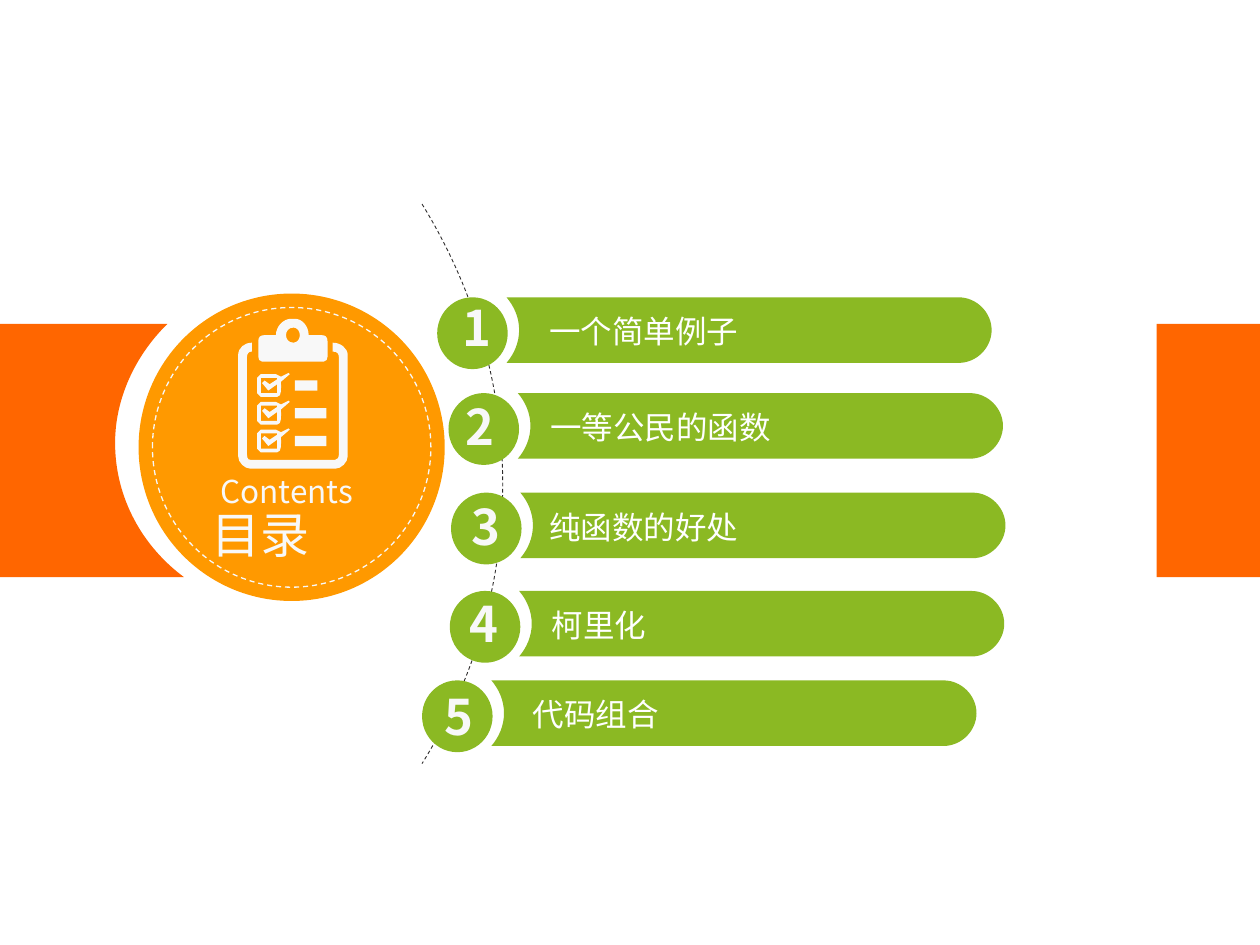
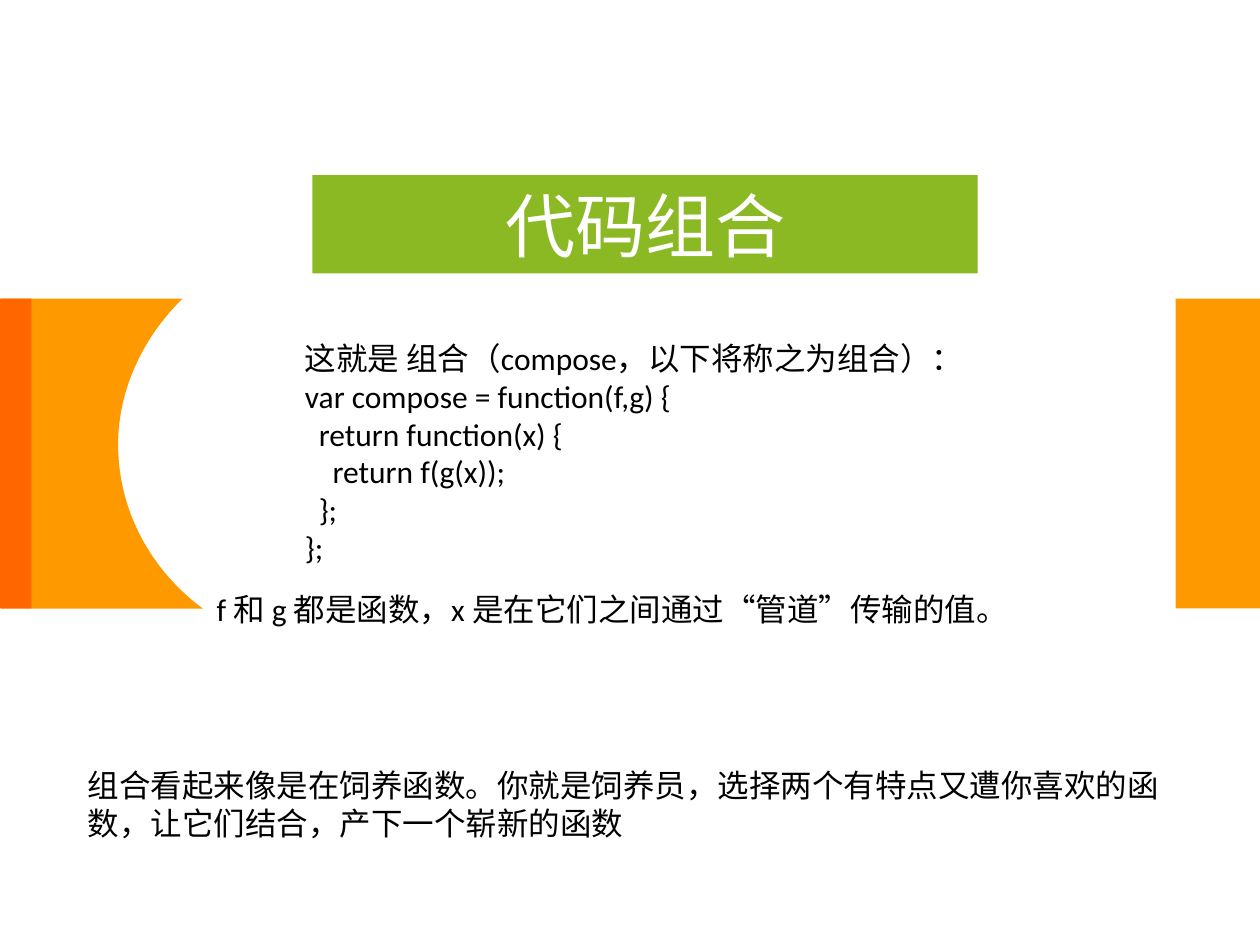
from pptx import Presentation
from pptx.dml.color import RGBColor
from pptx.enum.dml import MSO_LINE
from pptx.enum.shapes import MSO_SHAPE
from pptx.enum.text import MSO_ANCHOR, MSO_AUTO_SIZE, PP_ALIGN
from pptx.oxml.ns import qn
from pptx.util import Inches, Pt
from lxml.etree import SubElement

GREEN = RGBColor(0x8B, 0xB9, 0x23)
ORANGE = RGBColor(0xFF, 0x66, 0x00)
AMBER = RGBColor(0xFF, 0x99, 0x00)
PALE = RGBColor(0xF8, 0xF8, 0xF8)
WHITE = RGBColor(0xFF, 0xFF, 0xFF)
BLACK = RGBColor(0, 0, 0)
DARK = RGBColor(0x2E, 0x2C, 0x2C)
CJK, LATIN = "Noto Sans CJK SC", "Calibri"
SLIDE_W, SLIDE_H = 10, 7.5

# label, bar left, bar top, label left, number position
CONTENTS = [
    ("一个简单例子", 4.02, 2.36, 4.26, (3.57, 2.31)),
    ("一等公民的函数", 4.11, 3.12, 4.27, (3.6, 3.1)),
    ("纯函数的好处", 4.13, 3.91, 4.26, (3.64, 3.89)),
    ("柯里化", 4.12, 4.69, 4.28, (3.63, 4.66)),
    ("代码组合", 3.9, 5.4, 4.13, (3.43, 5.4)),
]
# indent level, line
CODE = [
    (0, "这就是 组合（compose，以下将称之为组合）："),
    (0, "var compose = function(f,g) {"),
    (1, "return function(x) {"),
    (2, "return f(g(x));"),
    (1, "};"),
    (0, "};"),
]
NOTES = [
    ("f 和 g 都是函数，x 是在它们之间通过“管道”传输的值。", (1.62, 4.63, 7.71, 0.4)),
    ("组合看起来像是在饲养函数。你就是饲养员，选择两个有特点又遭你喜欢的函数，"
     "让它们结合，产下一个崭新的函数", (0.6, 6.03, 8.9, 0.71)),
]

# Outlines: a pair is a corner, six numbers are a Bezier curve.
NOTCHED_BAND = [(0, 0), (0.9, 0), (0.71, 0.12, 0.58, 0.29, 0.58, 0.47),
                (0.58, 0.69, 0.75, 0.88, 1, 1), (0, 1)]
BAR = [(0, 0), (3.59, 0), (3.73, 0, 3.85, 0.12, 3.85, 0.26),
       (3.85, 0.4, 3.73, 0.52, 3.59, 0.52), (0, 0.52),
       (0.06, 0.45, 0.1, 0.36, 0.1, 0.26), (0.1, 0.16, 0.06, 0.07, 0, 0)]
DASHED_ARC = [(3.35, 1.62), (3.75, 2.27, 3.99, 3.03, 3.99, 3.84),
              (3.99, 4.66, 3.75, 5.42, 3.35, 6.06)]
BOARD = [(1.96, 2.84), (1.96, 2.81, 1.97, 2.79, 2, 2.79), (2, 2.72),
         (1.94, 2.72, 1.89, 2.76, 1.89, 2.82), (1.89, 3.62),
         (1.89, 3.67, 1.94, 3.72, 1.99, 3.72), (2.66, 3.72),
         (2.71, 3.72, 2.76, 3.67, 2.76, 3.62), (2.76, 2.82),
         (2.76, 2.76, 2.7, 2.72, 2.64, 2.72), (2.64, 2.79),
         (2.68, 2.79, 2.69, 2.81, 2.69, 2.84), (2.69, 3.6),
         (2.69, 3.63, 2.68, 3.65, 2.66, 3.65), (1.99, 3.65),
         (1.96, 3.65, 1.96, 3.62, 1.96, 3.6)]
CLIP = [(2.19, 2.66), (2.1, 2.66), (2.07, 2.66, 2.05, 2.67, 2.05, 2.71),
        (2.05, 2.83), (2.05, 2.85, 2.06, 2.87, 2.08, 2.87), (2.57, 2.87),
        (2.59, 2.87, 2.6, 2.85, 2.6, 2.83), (2.6, 2.71),
        (2.6, 2.67, 2.58, 2.66, 2.55, 2.66), (2.45, 2.66),
        (2.45, 2.59, 2.4, 2.53, 2.34, 2.53), (2.31, 2.53),
        (2.25, 2.53, 2.19, 2.59, 2.19, 2.66)]
CLIP_HOLE = [(2.27, 2.66), (2.27, 2.63, 2.29, 2.6, 2.33, 2.6),
             (2.36, 2.6, 2.38, 2.63, 2.38, 2.66),
             (2.38, 2.69, 2.36, 2.72, 2.33, 2.72),
             (2.29, 2.72, 2.27, 2.69, 2.27, 2.66)]
CHECKBOX = [(0.19, 0.02), (0.15, 0), (0.03, 0), (0, 0.03), (0, 0.15),
            (0.03, 0.18), (0.16, 0.18),
            (0.2, 0.18, 0.19, 0.1, 0.19, 0.06), (0.26, 0), (0.25, -0.01)]
CHECKMARK = [(0.03, 0.03), (0.16, 0.03), (0.16, 0.04), (0.1, 0.08), (0.06, 0.05),
             (0.04, 0.07), (0.09, 0.13), (0.16, 0.08), (0.16, 0.15), (0.03, 0.15)]
SQUARE = [(0, 0), (1, 0), (1, 1), (0, 1)]
CHECK_X, CHECK_Y, CHECK_PITCH = 2.04, 2.97, 0.22
CHECK_LINES = [0.18, 0.25, 0.25]


def fit(outline, x=0, y=0, w=1, h=1):
    """Scale an outline by w, h, move it to x, y and turn it into lengths."""
    return [[(Inches(x + px * w), Inches(y + py * h))
             for px, py in zip(part[::2], part[1::2])] for part in outline]


def paint(sp, fill=None, line=None, width=0.75):
    sp.shadow.inherit = False
    if fill is None:
        sp.fill.background()
    else:
        sp.fill.solid()
        sp.fill.fore_color.rgb = fill
    if line is None:
        sp.line.fill.background()
    else:
        sp.line.color.rgb = line
        sp.line.width = Pt(width)
        sp.line.dash_style = MSO_LINE.DASH


def bend(sp, parts):
    """Turn the straight segments that have control points into curves."""
    segments = list(sp._element.iter(qn("a:lnTo")))
    for segment, part in zip(segments, parts):
        if len(part) == 1:
            continue
        segment.tag = qn("a:cubicBezTo")
        for child in list(segment):
            segment.remove(child)
        for x, y in part:
            pt = SubElement(segment, qn("a:pt"))
            pt.set("x", str(x - sp.left))
            pt.set("y", str(y - sp.top))


def add_outline(slide, contours, closed=True, **style):
    fb = slide.shapes.build_freeform(*contours[0][0][-1])
    for i, parts in enumerate(contours):
        if i:
            fb.move_to(*parts[0][-1])
        fb.add_line_segments([part[-1] for part in parts[1:]], close=closed)
    sp = fb.convert_to_shape()
    bend(sp, [part for parts in contours for part in parts[1:]])
    paint(sp, **style)


def add_preset(slide, kind, box, **style):
    paint(slide.shapes.add_shape(kind, *map(Inches, box)), **style)


def write(p, text, size, color, font=CJK, bold=False):
    r = p.add_run()
    r.text = text
    r.font.size, r.font.bold, r.font.name = Pt(size), bold, font
    r.font.color.rgb = color
    SubElement(r.font._element, qn("a:ea")).set("typeface", CJK)


def add_text(slide, text, box, size, color, **style):
    tf = slide.shapes.add_textbox(*map(Inches, box)).text_frame
    tf.word_wrap = True
    write(tf.paragraphs[0], text, size, color, **style)


def place(sp, box, anchor):
    """Move a placeholder to box and return its text frame."""
    sp.left, sp.top, sp.width, sp.height = map(Inches, box)
    tf = sp.text_frame
    tf.auto_size, tf.vertical_anchor, tf.word_wrap = MSO_AUTO_SIZE.NONE, anchor, True
    return tf


def set_title(slide, text, box, size, color, align):
    p = place(slide.shapes.title, box, MSO_ANCHOR.MIDDLE).paragraphs[0]
    p.alignment = align
    write(p, text, size, color)


def add_side_bands(slide, color, top, height, notch_left, notch_w, edge_w, right):
    add_outline(slide, [fit(NOTCHED_BAND, notch_left, top, notch_w, height)], fill=color)
    for left, w, fill in ((right, SLIDE_W - right, color), (0, edge_w, ORANGE)):
        add_preset(slide, MSO_SHAPE.RECTANGLE, (left, top, w, height), fill=fill)


def add_clipboard(slide):
    contours = [fit(outline) for outline in (BOARD, CLIP, CLIP_HOLE)]
    for i, w in enumerate(CHECK_LINES):
        y = CHECK_Y + i * CHECK_PITCH
        contours += [fit(outline, CHECK_X, y) for outline in (CHECKBOX, CHECKMARK)]
        contours.append(fit(SQUARE, 2.34, y + 0.05, w, 0.08))
    add_outline(slide, contours, fill=PALE)


def contents_slide(prs):
    slide = prs.slides.add_slide(prs.slide_layouts[5])
    add_outline(slide, [fit(DASHED_ARC)], closed=False, line=DARK, width=0.5)
    for i, (label, x, y, label_x, number_at) in enumerate(CONTENTS, 1):
        add_outline(slide, [fit(BAR, x, y)], fill=GREEN)
        add_preset(slide, MSO_SHAPE.OVAL, (x - 0.55, y, 0.56, 0.57), fill=GREEN)
        add_text(slide, str(i), (*number_at, 0.5, 0.57), 28, PALE, bold=True)
        add_text(slide, label, (label_x, y + 0.07, 2.5, 0.4), 18, WHITE)
    add_side_bands(slide, ORANGE, 2.57, 2.01, 0.16, 1.3, 0.16, 9.18)
    add_preset(slide, MSO_SHAPE.OVAL, (1.1, 2.33, 2.43, 2.44), fill=AMBER)
    add_preset(slide, MSO_SHAPE.OVAL, (1.21, 2.44, 2.21, 2.22), fill=AMBER, line=PALE)
    add_clipboard(slide)
    add_text(slide, "Contents", (1.65, 3.7, 1.42, 0.4), 18, PALE)
    set_title(slide, "目录", (1.58, 3.95, 1.38, 0.57), 28, PALE, PP_ALIGN.LEFT)
    slide.shapes._spTree.append(slide.shapes.title._element)  # in front of the disc


def compose_slide(prs):
    slide = prs.slides.add_slide(prs.slide_layouts[1])
    set_title(slide, "代码组合", (2.48, 1.39, 5.28, 0.78), 40, WHITE, PP_ALIGN.CENTER)
    slide.shapes.title.fill.solid()
    slide.shapes.title.fill.fore_color.rgb = GREEN
    add_side_bands(slide, AMBER, 2.37, 2.46, 0.01, 1.6, 0.25, 9.33)
    tf = place(slide.placeholders[1], (2.32, 2.64, 6.12, 1.92), MSO_ANCHOR.TOP)
    for i, (level, line) in enumerate(CODE):
        p = tf.add_paragraph() if i else tf.paragraphs[0]
        p.space_before = Pt(0)
        pPr = p._p.get_or_add_pPr()
        pPr.set("marL", str(Inches(0.11 * level)))
        pPr.set("indent", "0")
        SubElement(pPr, qn("a:buNone"))
        write(p, line, 18, BLACK, LATIN)
    for text, box in NOTES:
        add_text(slide, text, box, 18, BLACK, font=LATIN)


def main():
    prs = Presentation()
    prs.slide_width, prs.slide_height = Inches(SLIDE_W), Inches(SLIDE_H)
    contents_slide(prs)
    compose_slide(prs)
    prs.save("out.pptx")


if __name__ == "__main__":
    main()
